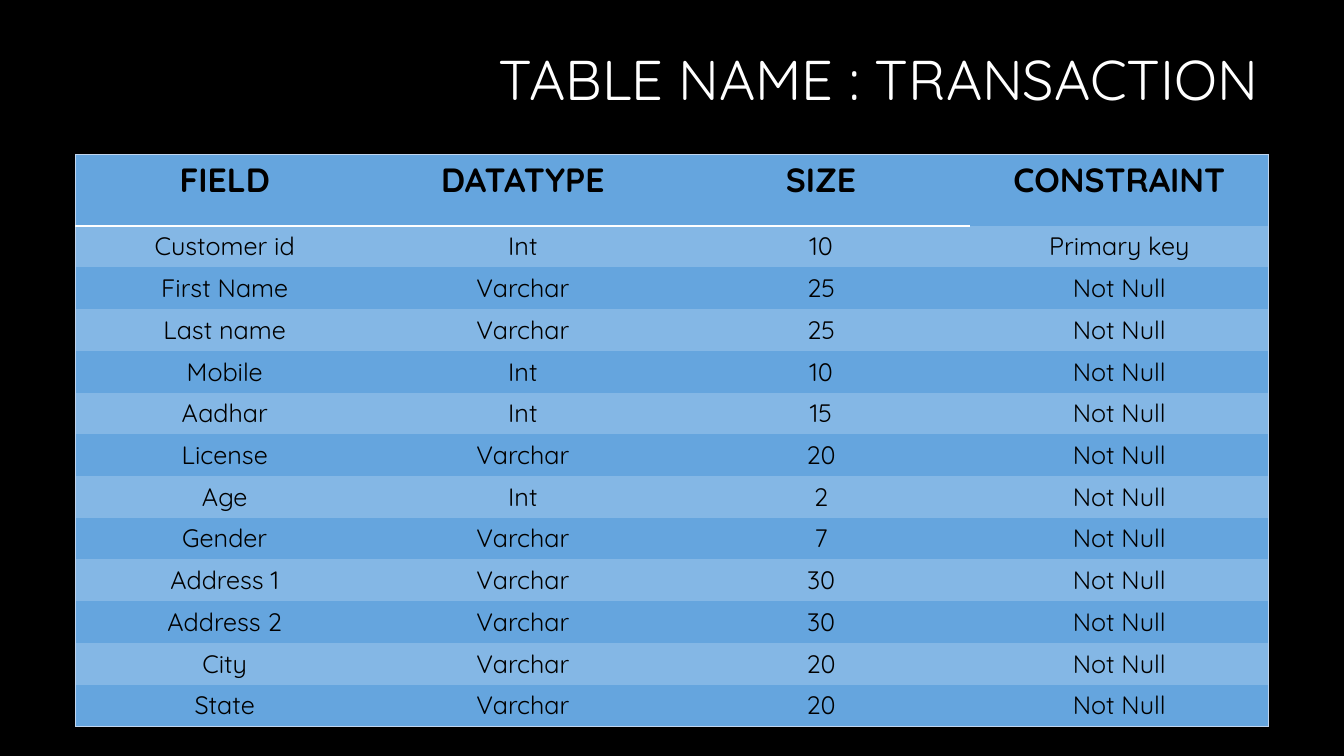
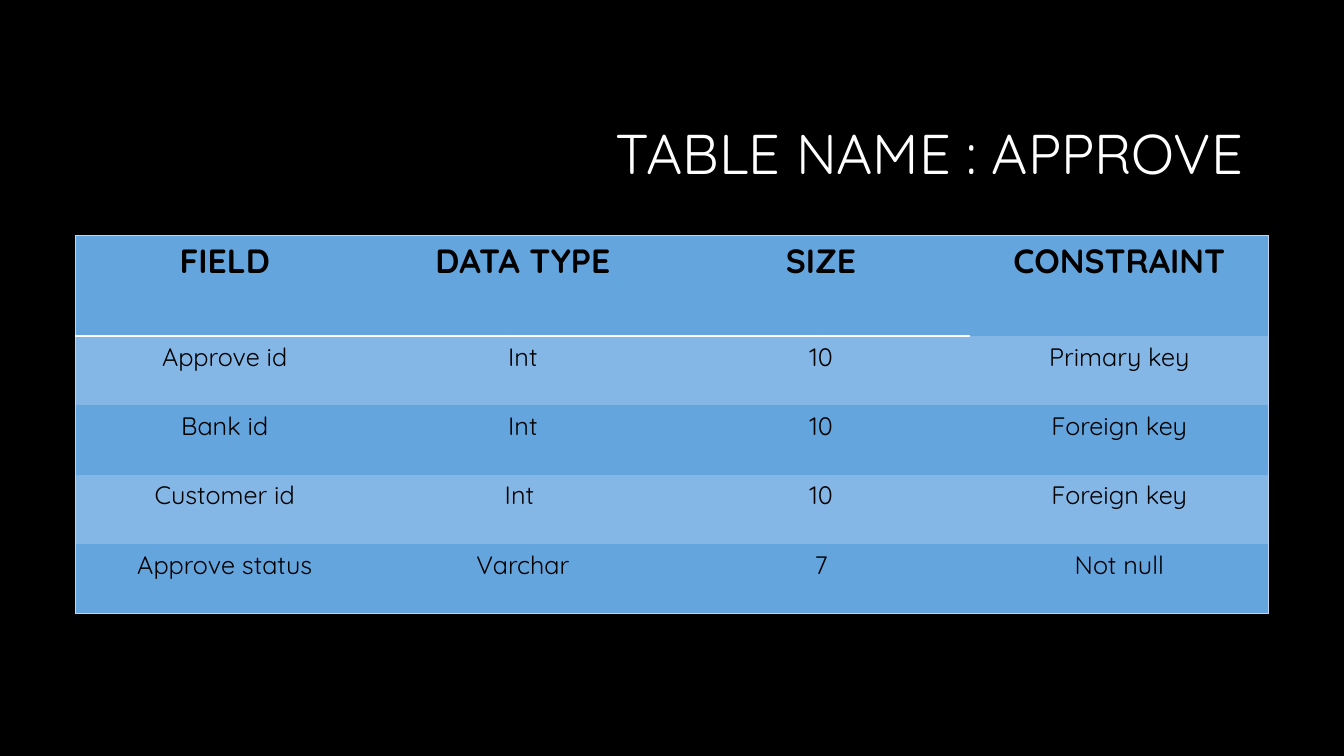
import pptx
import pptx.dml.color
import pptx.enum.text
import pptx.oxml.ns
import pptx.util
import lxml.etree

RGBColor = pptx.dml.color.RGBColor
BLACK = RGBColor(0x00, 0x00, 0x00)
WHITE = RGBColor(0xFF, 0xFF, 0xFF)
BLUE = RGBColor(0x65, 0xA5, 0xDE)
LIGHT_BLUE = RGBColor(0x84, 0xB7, 0xE5)
PALE_BLUE = RGBColor(0xC1, 0xD5, 0xEE)

EMU_PER_PX = 9525
FONT = "Quicksand"
PLAIN_TABLE_STYLE = "{2D5ABB26-0587-4C30-8999-92F81FD0307C}"
TITLE_FORMAT = {"name": FONT, "size": pptx.util.Pt(40), "bold": False}
HEADER_FORMAT = {"name": FONT, "size": pptx.util.Pt(24), "bold": True}
BODY_FORMAT = {"name": FONT, "size": pptx.util.Pt(18), "bold": False}

TABLE_LEFT = 72
COLUMN_WIDTH = 284

schemas = [
    {
        "title": "TABLE NAME : TRANSACTION",
        "title_top": 11,
        "table_top": 147,
        "header_height": 68,
        "row_height": 39,
        "rows": [
            ("FIELD", "DATATYPE", "SIZE", "CONSTRAINT"),
            ("Customer id", "Int", "10", "Primary key"),
            ("First Name", "Varchar", "25", "Not Null"),
            ("Last name", "Varchar", "25", "Not Null"),
            ("Mobile", "Int", "10", "Not Null"),
            ("Aadhar", "Int", "15", "Not Null"),
            ("License", "Varchar", "20", "Not Null"),
            ("Age", "Int", "2", "Not Null"),
            ("Gender", "Varchar", "7", "Not Null"),
            ("Address 1", "Varchar", "30", "Not Null"),
            ("Address 2", "Varchar", "30", "Not Null"),
            ("City", "Varchar", "20", "Not Null"),
            ("State", "Varchar", "20", "Not Null"),
        ],
    },
    {
        "title": "TABLE NAME : APPROVE ",
        "title_top": 81,
        "table_top": 224,
        "header_height": 96,
        "row_height": 66,
        "rows": [
            ("FIELD", "DATA TYPE", "SIZE", "CONSTRAINT"),
            ("Approve id", "Int", "10", "Primary key"),
            ("Bank id", "Int", "10", "Foreign key"),
            ("Customer id", "Int ", "10", "Foreign key"),
            ("Approve status", "Varchar", "7", "Not null"),
        ],
    },
]


def format_text(paragraph, text, alignment, color, values):
    paragraph.text = text
    paragraph.alignment = alignment
    font = paragraph.runs[0].font
    font.color.rgb = color
    for attribute, value in values.items():
        setattr(font, attribute, value)


def add_border(cell, side, color, points):
    qn = pptx.oxml.ns.qn
    properties = cell._tc.get_or_add_tcPr()
    line = lxml.etree.SubElement(properties, qn(f"a:ln{side}"), w=str(pptx.util.Pt(points)))
    solid = lxml.etree.SubElement(line, qn("a:solidFill"))
    lxml.etree.SubElement(solid, qn("a:srgbClr"), val=str(color))


deck = pptx.Presentation()
deck.slide_width = 1280 * EMU_PER_PX
deck.slide_height = 720 * EMU_PER_PX
background = deck.slide_master.background.fill
background.solid()
background.fore_color.rgb = BLACK

for schema in schemas:
    slide = deck.slides.add_slide(deck.slide_layouts[5])

    heading = slide.shapes.title
    bounds = {"left": 304, "top": schema["title_top"], "width": 904, "height": 135}
    for attribute, px in bounds.items():
        setattr(heading, attribute, px * EMU_PER_PX)
    frame = heading.text_frame
    frame.word_wrap = True
    frame.auto_size = pptx.enum.text.MSO_AUTO_SIZE.NONE
    frame.vertical_anchor = pptx.enum.text.MSO_ANCHOR.MIDDLE
    frame.paragraphs[0].line_spacing = 0.9
    format_text(frame.paragraphs[0], schema["title"], pptx.enum.text.PP_ALIGN.RIGHT,
                WHITE, TITLE_FORMAT)

    rows = schema["rows"]
    last_row, last_column = len(rows) - 1, len(rows[0]) - 1
    table_height = schema["header_height"] + last_row * schema["row_height"]
    fields = slide.shapes.add_table(
        len(rows), len(rows[0]),
        TABLE_LEFT * EMU_PER_PX, schema["table_top"] * EMU_PER_PX,
        COLUMN_WIDTH * len(rows[0]) * EMU_PER_PX, table_height * EMU_PER_PX,
    ).table
    fields._tbl.tblPr.find(pptx.oxml.ns.qn("a:tableStyleId")).text = PLAIN_TABLE_STYLE
    fields.horz_banding = False

    for row, texts in enumerate(rows):
        is_header = row == 0
        row_height = schema["header_height"] if is_header else schema["row_height"]
        fields.rows[row].height = row_height * EMU_PER_PX
        for column, text in enumerate(texts):
            cell = fields.cell(row, column)
            format_text(cell.text_frame.paragraphs[0], text, pptx.enum.text.PP_ALIGN.CENTER,
                        BLACK, HEADER_FORMAT if is_header else BODY_FORMAT)
            outer_edges = {"L": column == 0, "R": column == last_column,
                           "T": is_header, "B": row == last_row}
            for side, is_outer in outer_edges.items():
                if is_outer:
                    add_border(cell, side, PALE_BLUE, 0.75)
            if is_header and column < last_column:
                add_border(cell, "B", WHITE, 1.5)
            cell.fill.solid()
            cell.fill.fore_color.rgb = LIGHT_BLUE if row % 2 else BLUE

deck.save("out.pptx")
